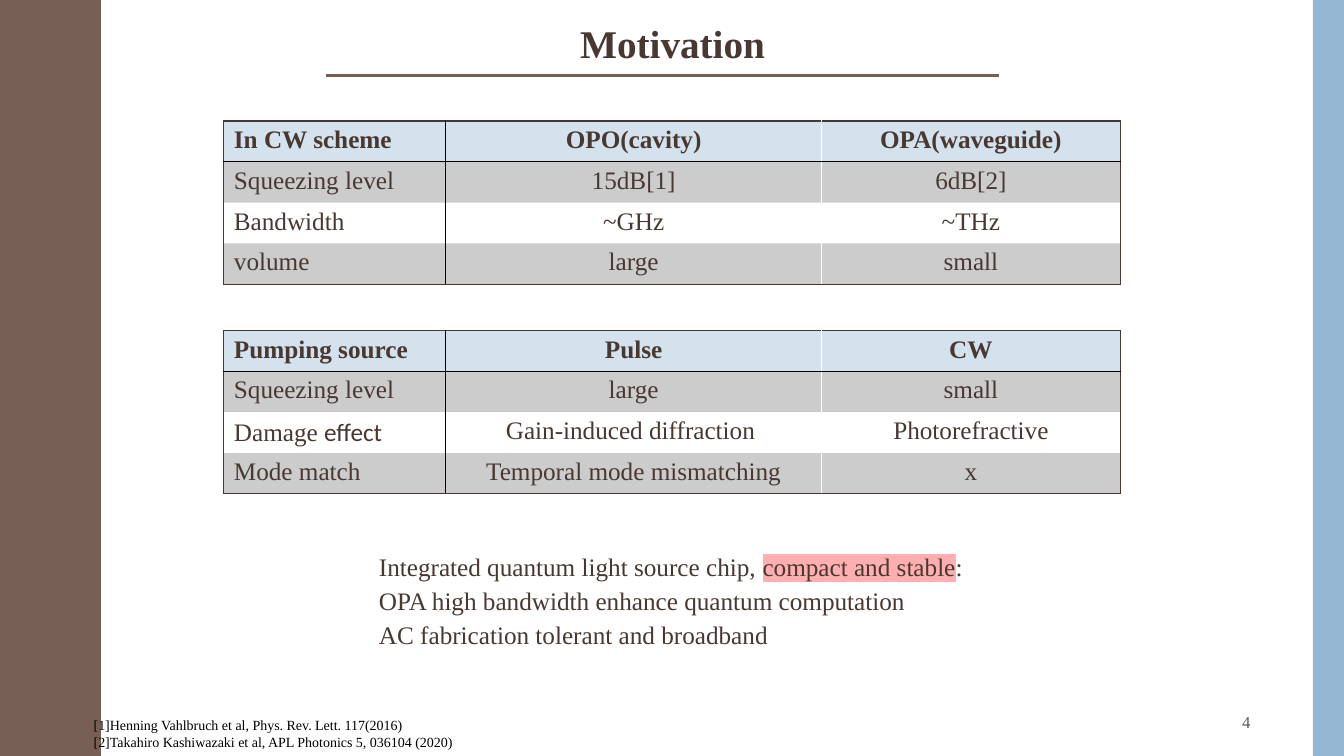
from lxml import etree
from pptx import Presentation
from pptx.dml.color import RGBColor
from pptx.enum.shapes import MSO_CONNECTOR as Connector, MSO_SHAPE as Shape
from pptx.enum.text import MSO_ANCHOR as Anchor, PP_ALIGN as Align
from pptx.oxml.ns import qn
from pptx.util import Inches, Pt

SERIF, SANS = "Times New Roman", "Calibri"
BROWN, BLUE, DARK, GREY = "775F55", "94B6D2", "483832", "595959"
PALE_BLUE, PINK, BLACK, WHITE = "D4E2ED", "FFAFB1", "000000", "FFFFFF"

# Half a wave, from trough to crest; the other half mirrors it
HALF_WAVE = [(0.78, 0), (0.78, 0.07), (0.79, 0.14), (0.8, 0.2), (0.81, 0.25),
             (0.83, 0.29), (0.85, 0.33), (0.87, 0.38), (0.89, 0.42), (0.91, 0.46),
             (0.93, 0.5), (0.95, 0.55), (0.96, 0.61), (0.97, 0.68), (0.97, 0.75)]
WAVE_LENGTH, WAVE_COUNT = 1.5, 5

COLUMNS = [2.2, 3.73, 2.96]
SCHEMES = [["In CW scheme", "OPO(cavity)", "OPA(waveguide)"],
           ["Squeezing level", "15dB[1]", "6dB[2]"],
           ["Bandwidth", "~GHz", "~THz"],
           ["volume", "large", "small"]]
PUMPING = [["Pumping source", "Pulse", "CW"],
           ["Squeezing level", "large", "small"],
           ["Damage effect", "Gain-induced diffraction ", "Photorefractive"],
           ["Mode match", "Temporal mode mismatching", "x"]]


def rgb(color):
    return RGBColor.from_string(color)


def add_color(parent, color):
    fill = etree.SubElement(parent, qn("a:solidFill"))
    etree.SubElement(fill, qn("a:srgbClr"), val=color)


def format_span(span, size, color=DARK, bold=False, font=SERIF):
    span.font.size, span.font.bold, span.font.name = Pt(size), bold, font
    span.font.color.rgb = rgb(color)


def highlight(span, color):
    mark = etree.Element(qn("a:highlight"))
    etree.SubElement(mark, qn("a:srgbClr"), val=color)
    span.font._element.find(qn("a:solidFill")).addnext(mark)


def add_text(page, left, top, width, height, lines, size, color=DARK, bold=False,
             align=Align.LEFT, anchor=Anchor.TOP, spacing=None):
    """Add a text box; each line is a list of spans."""
    frame = page.shapes.add_textbox(Inches(left), Inches(top),
                                    Inches(width), Inches(height)).text_frame
    frame.word_wrap, frame.vertical_anchor = True, anchor
    for index, texts in enumerate(lines):
        para = frame.add_paragraph() if index else frame.paragraphs[0]
        para.alignment, para.line_spacing = align, spacing
        for text in texts:
            span = para.add_run()
            span.text = text
            format_span(span, size, color, bold)
    return frame


def add_wave(page):
    crest = HALF_WAVE[-1][1]
    mirrored = [(x, 2 * crest - y) for x, y in reversed(HALF_WAVE[:-1])]
    wave = HALF_WAVE + mirrored[:-1]
    edge = [(x, y + number * WAVE_LENGTH) for number in range(WAVE_COUNT) for x, y in wave]
    bottom = WAVE_COUNT * WAVE_LENGTH
    corners = edge + [(HALF_WAVE[0][0], bottom), (0, bottom)]
    builder = page.shapes.build_freeform(0, 0, scale=Inches(1))
    builder.add_line_segments(corners, close=True)
    paint(builder.convert_to_shape(), BROWN)


def paint(shape, color):
    shape.shadow.inherit = False
    shape.fill.solid()
    shape.fill.fore_color.rgb = rgb(color)
    shape.line.fill.background()


def add_side_bar(page, left, top, width, height):
    paint(page.shapes.add_shape(Shape.RECTANGLE, Inches(left), Inches(top),
                                Inches(width), Inches(height)), BLUE)


def add_heading(page, left, top, width, height, title):
    add_text(page, left, top, width, height, [[title]], 28, bold=True,
             align=Align.CENTER, anchor=Anchor.MIDDLE, spacing=1.2)
    rule_left, rule_y, rule_width = left - 1.75, top + 0.73, 6.68
    rule = page.shapes.add_connector(Connector.STRAIGHT, Inches(rule_left), Inches(rule_y),
                                     Inches(rule_left + rule_width), Inches(rule_y))
    rule.line.color.rgb, rule.line.width = rgb(BROWN), Pt(2.25)
    etree.SubElement(rule._element.spPr, qn("a:effectLst"))


def set_borders(cell, borders):
    """Draw left, right, top and bottom borders; None leaves a side open."""
    properties = cell._tc.get_or_add_tcPr()
    for index, (side, color) in enumerate(zip("LRTB", borders)):
        line = etree.Element(qn(f"a:ln{side}"), w=str(Pt(1)))
        if color:
            add_color(line, color)
        else:
            etree.SubElement(line, qn("a:noFill"))
        properties.insert(index, line)


def fill_cell(cell, row):
    if row == 2:
        cell.fill.background()
        return
    cell.fill.solid()
    cell.fill.fore_color.rgb = rgb(BLACK if row else PALE_BLUE)
    if row:
        shade = cell._tc.tcPr.find(f".//{qn('a:srgbClr')}")
        etree.SubElement(shade, qn("a:alpha"), val="20000")


def add_comparison(page, left, top, height, rows):
    """Add a table with a header row and shaded odd rows."""
    table = page.shapes.add_table(len(rows), len(COLUMNS), Inches(left), Inches(top),
                                  Inches(sum(COLUMNS)), Inches(height)).table
    table.first_row = table.horz_banding = False
    uprights = [DARK, BLACK, WHITE, DARK]
    levels = [DARK, BLACK, None, None, DARK]
    for column, width in zip(table.columns, COLUMNS):
        column.width = Inches(width)
    for row, texts in enumerate(rows):
        for column, text in enumerate(texts):
            cell = table.cell(row, column)
            para = cell.text_frame.paragraphs[0]
            para.alignment = Align.CENTER if column else Align.LEFT
            start, word, rest = text.partition("effect")
            for part in filter(None, (start, word, rest)):
                span = para.add_run()
                span.text = part
                format_span(span, 18, bold=row == 0, font=SANS if part == word else SERIF)
            fill_cell(cell, row)
            set_borders(cell, uprights[column:column + 2] + levels[row:row + 2])


def add_summary(page, left, top, width, height):
    frame = add_text(page, left, top, width, height, [
        ["Integrated quantum light source chip, ", "compact and stable", ":"],
        ["OPA high bandwidth enhance quantum computation"],
        ["AC fabrication tolerant and broadband"],
    ], 18, spacing=Pt(24))
    highlight(frame.paragraphs[0].runs[1], PINK)


def add_references(page, left, top, width, height):
    add_text(page, left, top, width, height, [
        ["[1]Henning Vahlbruch et al, Phys. Rev. Lett. 117(2016)"],
        ["[2]Takahiro Kashiwazaki et al, APL Photonics 5, 036104 (2020)"],
    ], 10, BLACK)


def main():
    deck = Presentation()
    deck.slide_width, deck.slide_height = Inches(13.33), Inches(7.5)
    page = deck.slides.add_slide(deck.slide_layouts[6])
    add_wave(page)
    add_side_bar(page, 13.02, 0, 0.31, 7.5)
    add_heading(page, 4.98, 0.02, 3.38, 0.72, "Motivation")
    add_comparison(page, 2.22, 1.2, 1.62, SCHEMES)
    add_comparison(page, 2.22, 3.28, 1.62, PUMPING)
    add_summary(page, 3.66, 5.39, 6.02, 1.09)
    add_references(page, 0.83, 7.06, 3.88, 0.44)
    add_text(page, 9.42, 6.97, 3.08, 0.38, [["4"]], 12, GREY,
             align=Align.RIGHT, anchor=Anchor.MIDDLE)
    deck.save("out.pptx")


if __name__ == "__main__":
    main()
